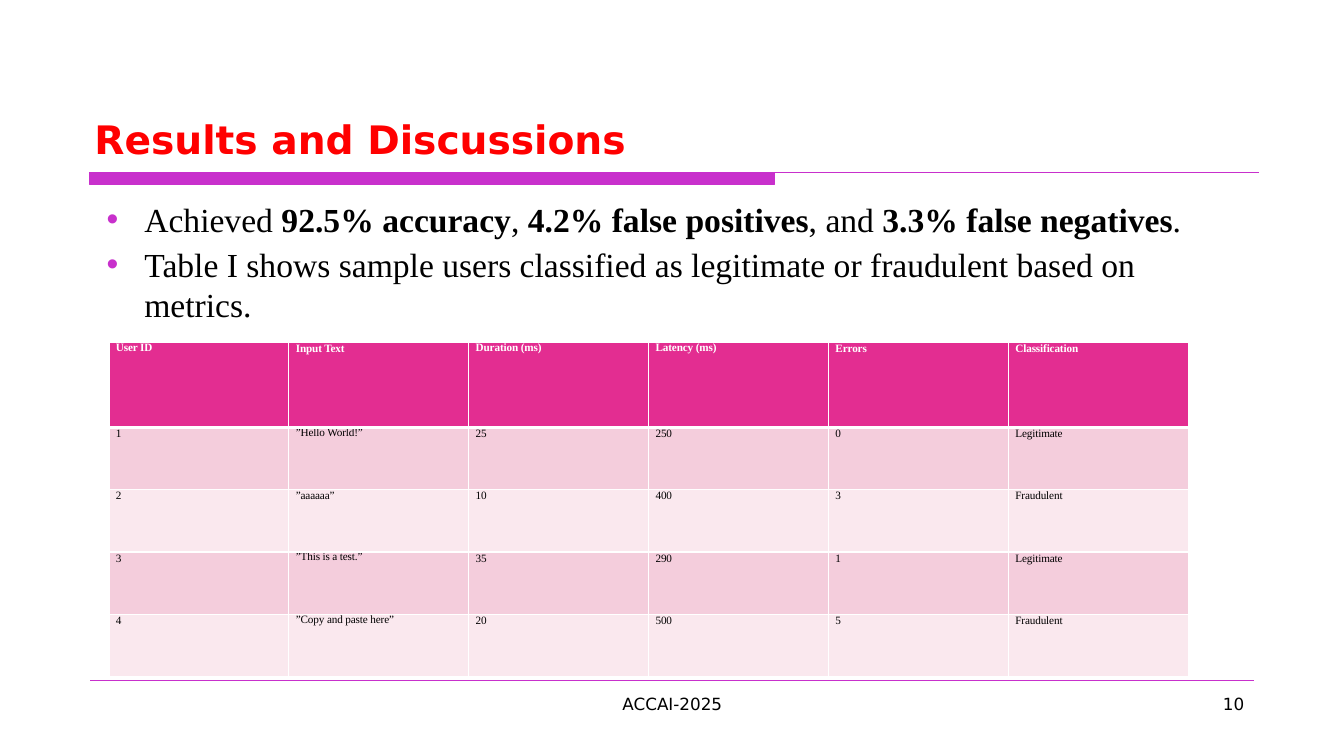
from dataclasses import dataclass
from typing import NamedTuple

from lxml.etree import SubElement
from pptx import Presentation
from pptx.dml.color import RGBColor as Color
from pptx.enum.shapes import MSO_CONNECTOR as Connector, MSO_SHAPE as Shape
from pptx.enum.text import MSO_ANCHOR as Anchor, PP_ALIGN as Align
from pptx.oxml.ns import qn
from pptx.util import Pt


class Box(NamedTuple):
    left: float
    top: float
    width: float
    height: float

    def lengths(self):
        return [Pt(value) for value in self]


@dataclass(frozen=True)
class Theme:
    title: str = "FF0000"
    accent: str = "C830CC"
    text: str = "000000"
    white: str = "FFFFFF"
    header: str = "E32D91"
    bands: tuple = ("F4CDDC", "FAE8EE")
    sans: str = "DejaVu Sans"
    serif: str = "Times New Roman"
    title_size: float = 28
    body_size: float = 24
    footer_size: float = 12
    table_size: float = 8


THEME = Theme()

BULLETS = [
    [("Achieved ", False), ("92.5% accuracy", True), (", ", False),
     ("4.2% false positives", True), (", and ", False),
     ("3.3% false negatives", True), (".", False)],
    [("Table I shows sample users classified as legitimate or fraudulent "
      "based on metrics.", False)],
]
USERS = [
    ["User ID", "Input Text", "Duration (ms)", "Latency (ms)", "Errors", "Classification"],
    ["1", "”Hello World!”", "25", "250", "0", "Legitimate"],
    ["2", "”aaaaaa”", "10", "400", "3", "Fraudulent"],
    ["3", "”This is a test.”", "35", "290", "1", "Legitimate"],
    ["4", "”Copy and paste here”", "20", "500", "5", "Fraudulent"],
]
TIGHT_CELLS = {(0, 0), (0, 2), (0, 3), (1, 1), (3, 1), (4, 1)}


def style_span(span, face, size, color, bold=False):
    font = span.font
    font.name, font.size, font.bold = face, Pt(size), bold
    font.color.rgb = Color.from_string(color)


def add_frame(page, box):
    frame = page.shapes.add_textbox(*box.lengths()).text_frame
    frame.word_wrap = True
    return frame


def add_label(page, box, text, size, color, bold=False, align=Align.LEFT, anchor=Anchor.TOP):
    frame = add_frame(page, box)
    frame.vertical_anchor = anchor
    frame.text = text
    para = frame.paragraphs[0]
    para.alignment = align
    style_span(para.runs[0], THEME.sans, size, color, bold)


def add_rule(page, left, top, width):
    rule = page.shapes.add_connector(
        Connector.STRAIGHT, Pt(left), Pt(top), Pt(left + width), Pt(top))
    rule.line.color.rgb = Color.from_string(THEME.accent)
    rule.line.width = Pt(0.75)
    SubElement(rule._element.spPr, qn("a:effectLst"))


def add_heading(page, box):
    """Title above a thin rule whose left part is a thick bar."""
    add_label(page, Box(box.left - 3.6, box.top, box.width, box.height - 3.6),
              "Results and Discussions", THEME.title_size, THEME.title,
              bold=True, anchor=Anchor.BOTTOM)
    bottom = box.top + box.height
    bar_box = Box(box.left, bottom, 489, 8.6)
    bar = page.shapes.add_shape(Shape.RECTANGLE, *bar_box.lengths())
    bar.shadow.inherit = False
    bar.fill.solid()
    bar.fill.fore_color.rgb = Color.from_string(THEME.accent)
    bar.line.color.rgb = Color.from_string(THEME.accent)
    bar.line.width = Pt(0.75)
    add_rule(page, box.left, bottom, box.width)


def set_bullet(para):
    props = para._p.get_or_add_pPr()
    props.set("marL", str(Pt(36)))
    props.set("indent", str(-Pt(27)))
    color = SubElement(props, qn("a:buClr"))
    SubElement(color, qn("a:srgbClr"), val=THEME.accent)
    SubElement(props, qn("a:buFont"), typeface="Arial")
    SubElement(props, qn("a:buChar"), char="•")


def add_bullets(page, box):
    frame = add_frame(page, box)
    for index, spans in enumerate(BULLETS):
        para = frame.add_paragraph() if index else frame.paragraphs[0]
        para.space_before = Pt(3.6)
        set_bullet(para)
        for text, bold in spans:
            span = para.add_run()
            span.text = text
            style_span(span, THEME.serif, THEME.body_size, THEME.text, bold)


def set_borders(cell, top, bottom):
    props = cell._tc.get_or_add_tcPr()
    for side, width in (("L", 1), ("R", 1), ("T", top), ("B", bottom)):
        line = SubElement(props, qn(f"a:ln{side}"), w=str(Pt(width)))
        fill = SubElement(line, qn("a:solidFill"))
        SubElement(fill, qn("a:srgbClr"), val=THEME.white)


def fill_cell(cell, row, column):
    is_header = row == 0
    set_borders(cell, top=3 if row == 1 else 1, bottom=3 if is_header else 1)
    cell.fill.solid()
    cell.fill.fore_color.rgb = Color.from_string(
        THEME.header if is_header else THEME.bands[(row - 1) % 2])
    cell.margin_left = cell.margin_right = cell.margin_top = cell.margin_bottom = 0
    cell.text_frame.text = USERS[row][column]
    para = cell.text_frame.paragraphs[0]
    para._p.get_or_add_pPr().set("marL", str(Pt(5)))
    if (row, column) in TIGHT_CELLS:
        para.line_spacing = 0.9
        para.space_before = Pt(3.6)
    else:
        para.space_before = Pt(3 if row == 2 else 7.1)
    span = para.runs[0]
    style_span(span, THEME.serif, THEME.table_size,
               THEME.white if is_header else THEME.text, is_header)
    span._r.get_or_add_rPr().set("spc", "-10")


def add_user_table(page, box, header_height=60.5):
    row_count, column_count = len(USERS), len(USERS[0])
    table = page.shapes.add_table(row_count, column_count, *box.lengths()).table
    table.horz_banding = False
    row_height = (box.height - header_height) / (row_count - 1)
    for column in table.columns:
        column.width = Pt(box.width / column_count)
    for index, row in enumerate(table.rows):
        row.height = Pt(row_height if index else header_height)
        for column, cell in enumerate(row.cells):
            fill_cell(cell, index, column)


def add_footer(page, box):
    add_rule(page, box.left, box.top, box.width)
    top, height = box.top + 5.8, box.height - 5.8
    add_label(page, Box(box.left + 264, top, 304, height), "ACCAI-2025",
              THEME.footer_size, THEME.text, align=Align.CENTER)
    add_label(page, Box(box.left + box.width - 208, top, 208, height), "10",
              THEME.footer_size, THEME.text, align=Align.RIGHT)


def main():
    deck = Presentation()
    deck.slide_width, deck.slide_height = Pt(960), Pt(540)
    page = deck.slides.add_slide(deck.slide_layouts[6])
    add_heading(page, Box(64, 24, 835.5, 99))
    add_bullets(page, Box(60, 138.2, 840, 336))
    add_user_table(page, Box(77.8, 244.8, 771, 238.5))
    add_footer(page, Box(64.3, 486, 831.6, 43))
    deck.save("out.pptx")


if __name__ == "__main__":
    main()
